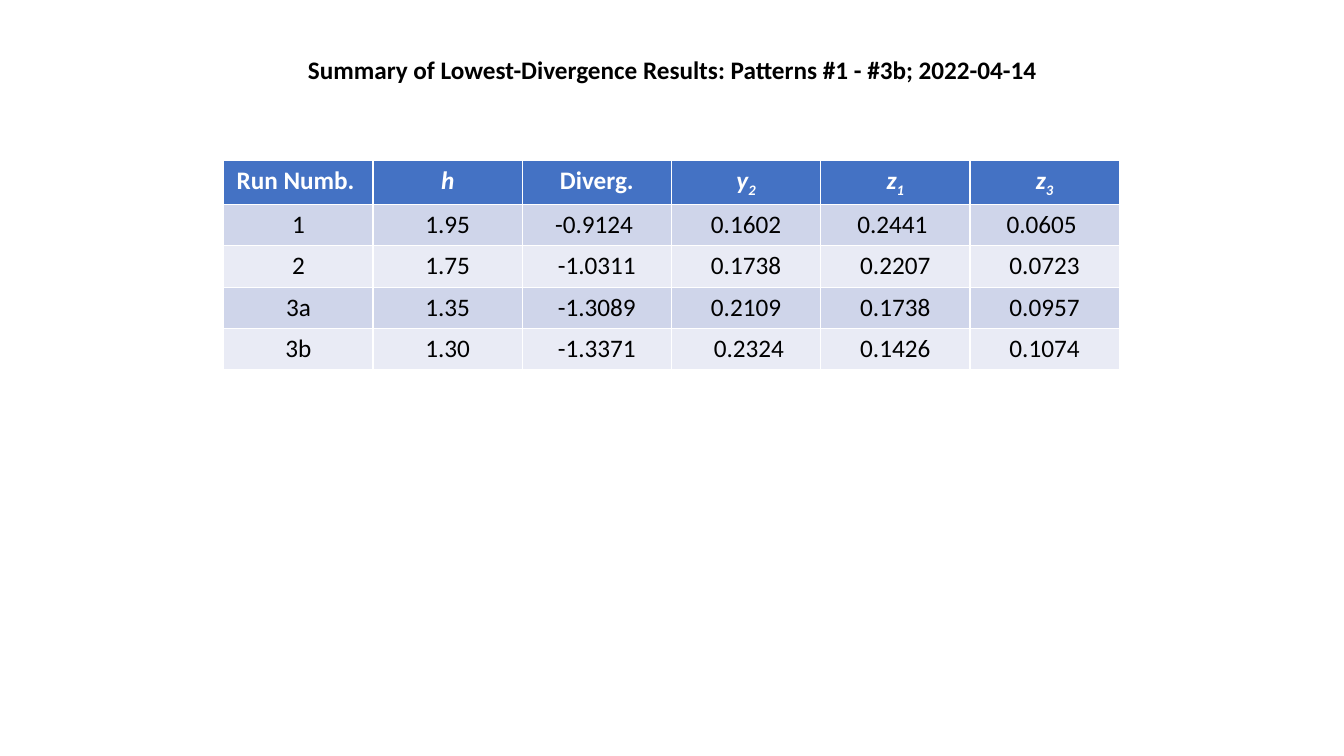
from pptx import Presentation
from pptx.dml.color import RGBColor
from pptx.enum.text import MSO_ANCHOR, PP_ALIGN
from pptx.util import Inches, Pt

BLACK = RGBColor(0x00, 0x00, 0x00)
WHITE = RGBColor(0xFF, 0xFF, 0xFF)
HEADER_BLUE = RGBColor(0x44, 0x72, 0xC4)
BAND_DARK = RGBColor(0xCF, 0xD5, 0xEA)
BAND_LIGHT = RGBColor(0xE9, 0xEB, 0xF5)

TITLE = "Summary of Lowest-Divergence Results: Patterns #1 - #3b; 2022-04-14"
HEADERS = [
    ("Run Numb. ", "", False),
    ("h", "", True),
    ("Diverg.", "", False),
    ("y", "2", True),
    ("z", "1", True),
    ("z", "3", True),
]
RESULTS = [
    ("1", "1.95", "-0.9124 ", "0.1602", "0.2441 ", "0.0605 "),
    ("2", "1.75", "-1.0311", "0.1738", "0.2207", "0.0723"),
    ("3a", "1.35", "-1.3089", "0.2109", "0.1738", "0.0957"),
    ("3b", "1.30", "-1.3371", " 0.2324", "0.1426", "0.1074"),
]


class ResultsSlide:
    """Holds the text style and the slide that is being built."""

    font_name = "Calibri"
    font_size = Pt(18)

    def __init__(self, presentation):
        self.slide = presentation.slides.add_slide(presentation.slide_layouts[5])

    def format_runs(self, paragraph, color, bold=False, italic=False):
        paragraph.alignment = PP_ALIGN.CENTER
        for run in paragraph.runs:
            run.font.name = self.font_name
            run.font.size = self.font_size
            run.font.bold = bold
            run.font.italic = italic
            run.font.color.rgb = color

    def add_title(self, text, left, top, width, height):
        title = self.slide.shapes.title
        title.left, title.top = Inches(left), Inches(top)
        title.width, title.height = Inches(width), Inches(height)
        text_frame = title.text_frame
        text_frame.text = text
        text_frame.word_wrap = False
        text_frame.vertical_anchor = MSO_ANCHOR.TOP
        self.format_runs(text_frame.paragraphs[0], BLACK, bold=True)

    def fill_cell(self, cell, text, fill):
        cell.fill.solid()
        cell.fill.fore_color.rgb = fill
        paragraph = cell.text_frame.paragraphs[0]
        paragraph.text = text
        return paragraph

    def add_table(self, headers, rows, left, top, column_width, row_height):
        row_count, column_count = len(rows) + 1, len(headers)
        table = self.slide.shapes.add_table(
            row_count, column_count, Inches(left), Inches(top),
            Inches(column_width * column_count), Inches(row_height * row_count),
        ).table
        for column, (symbol, subscript, italic) in enumerate(headers):
            paragraph = self.fill_cell(table.cell(0, column), symbol, HEADER_BLUE)
            if subscript:
                run = paragraph.add_run()
                run.text = subscript
                run._r.get_or_add_rPr().set("baseline", "-25000")
            self.format_runs(paragraph, WHITE, bold=True, italic=italic)
        for row, values in enumerate(rows, start=1):
            fill = BAND_DARK if row % 2 else BAND_LIGHT
            for column, value in enumerate(values):
                paragraph = self.fill_cell(table.cell(row, column), value, fill)
                self.format_runs(paragraph, BLACK)


def main():
    presentation = Presentation()
    presentation.slide_width = Inches(13.33)
    presentation.slide_height = Inches(7.5)
    results_slide = ResultsSlide(presentation)
    results_slide.add_title(TITLE, 2.94, 0.49, 7.46, 0.4)
    results_slide.add_table(HEADERS, RESULTS, 2.22, 1.59, 1.48, 0.41)
    presentation.save("out.pptx")


if __name__ == "__main__":
    main()
